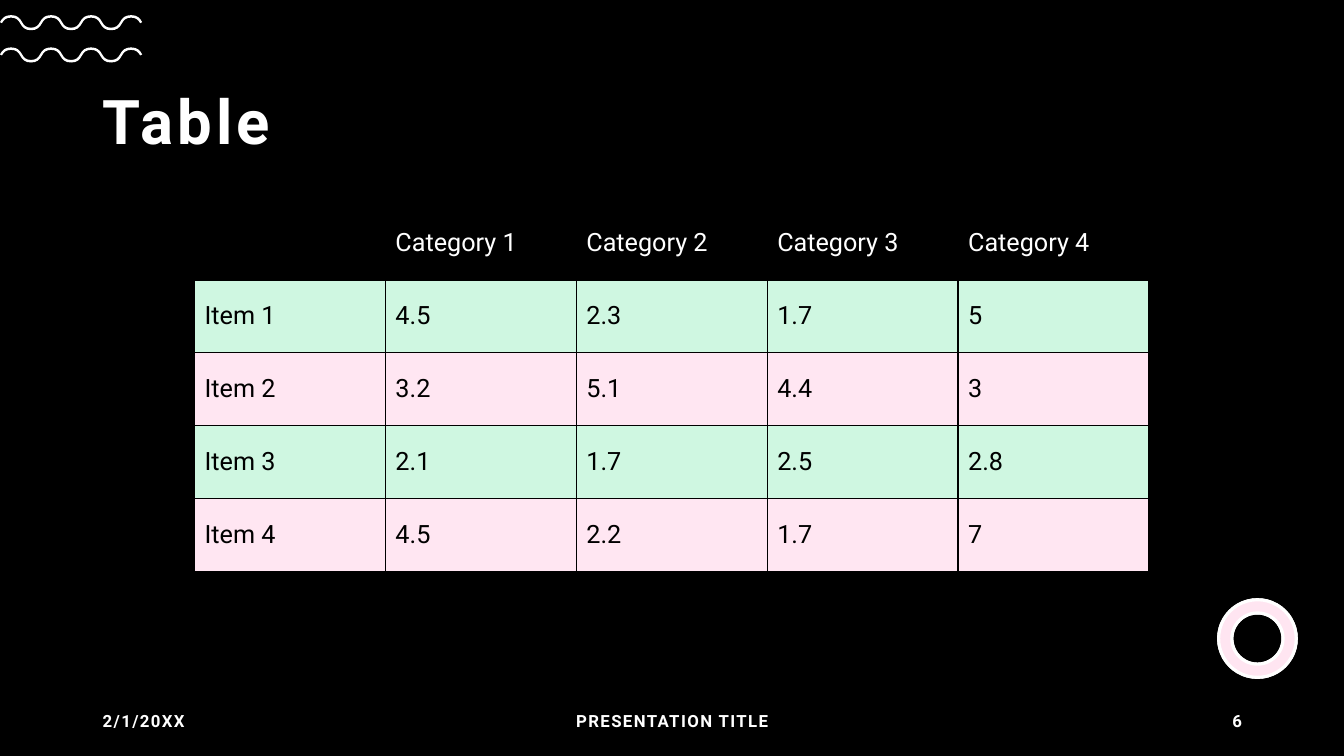
from dataclasses import dataclass

import lxml.etree
import pptx
import pptx.dml.color
import pptx.enum.shapes
import pptx.enum.text
import pptx.oxml
import pptx.oxml.ns
import pptx.util

Inches = pptx.util.Inches
Align = pptx.enum.text.PP_ALIGN
Point = tuple[float, float]


@dataclass(frozen=True)
class Theme:
    font: str = "Roboto"
    black: str = "000000"
    white: str = "FFFFFF"
    mint: str = "CFF7E1"
    blush: str = "FFE6F2"
    pink: str = "FF80BD"
    title_size: int = 44
    table_size: int = 18
    footer_size: int = 12


@dataclass(frozen=True)
class FooterItem:
    text: str
    left: float
    width: float
    alignment: Align


@dataclass(frozen=True)
class RingLayer:
    color: str
    opacity: int


@dataclass(frozen=True)
class WaveEdge:
    reach: int
    crest_y: int
    middle_y: int
    trough_y: int


THEME = Theme()
ROWS = [
    ["", "Category 1", "Category 2", "Category 3", "Category 4"],
    ["Item 1", "4.5", "2.3", "1.7", "5"],
    ["Item 2", "3.2", "5.1", "4.4", "3"],
    ["Item 3", "2.1", "1.7", "2.5", "2.8"],
    ["Item 4", "4.5", "2.2", "1.7", "7"],
]
FOOTER = [
    FooterItem("2/1/20XX", 0.92, 3, Align.LEFT),
    FooterItem("PRESENTATION TITLE", 4.42, 4.5, Align.CENTER),
    FooterItem("6", 9.42, 3, Align.RIGHT),
]
RING_LAYERS = [RingLayer(THEME.white, 100), RingLayer(THEME.pink, 20)]
WAVE_TOPS = [0.47, 0.15]
UPPER_EDGE = WaveEdge(reach=110, crest_y=0, middle_y=70, trough_y=125)
LOWER_EDGE = WaveEdge(reach=90, crest_y=25, middle_y=80, trough_y=150)


def rgb(color: str) -> pptx.dml.color.RGBColor:
    return pptx.dml.color.RGBColor.from_string(color)


def paint(fill, color: str) -> None:
    fill.solid()
    fill.fore_color.rgb = rgb(color)


def format_text(text_frame, size: int, color: str, bold: bool = False,
                spacing: int = 0, alignment: Align = Align.LEFT) -> None:
    text_frame.vertical_anchor = pptx.enum.text.MSO_ANCHOR.MIDDLE
    paragraph = text_frame.paragraphs[0]
    paragraph.alignment = alignment
    for run in paragraph.runs:
        run.font.name = THEME.font
        run.font.size = pptx.util.Pt(size)
        run.font.bold = bold
        run.font.color.rgb = rgb(color)
        if spacing:
            run.font._element.set("spc", str(spacing * 100))


def edge_points(edge: WaveEdge) -> list[Point]:
    period, crests = 397, 4
    points: list[Point] = []
    for index in range(crests):
        crest = 110 + index * period
        points += [(crest - edge.reach, edge.middle_y), (crest, edge.crest_y),
                   (crest + edge.reach, edge.middle_y),
                   (crest + period / 2, edge.trough_y)]
    return points[:-1]


def quarter_curve(middle: Point, extreme: Point) -> list[Point]:
    across, down = extreme[0] - middle[0], extreme[1] - middle[1]
    return [(middle[0] + 0.2 * across, middle[1] + 0.6 * down),
            (extreme[0] - 0.55 * across, extreme[1])]


def add_wave(slide, top: float) -> None:
    upper, lower = edge_points(UPPER_EDGE), edge_points(LOWER_EDGE)[::-1]
    outline = upper + lower
    builder = slide.shapes.build_freeform(*outline[0], scale=Inches(1) / 1000)
    builder.add_line_segments(outline[1:], close=True)
    wave = builder.convert_to_shape(0, Inches(top))
    lines = list(wave._element.iter(pptx.oxml.ns.qn("a:lnTo")))
    for index, line in enumerate(lines):
        if index == len(upper) - 1:
            continue
        start, end = outline[index:index + 2]
        if UPPER_EDGE.middle_y == start[1] or LOWER_EDGE.middle_y == start[1]:
            controls = quarter_curve(start, end)
        else:
            controls = quarter_curve(end, start)[::-1]
        line.tag = pptx.oxml.ns.qn("a:cubicBezTo")
        for position, (x, y) in enumerate(controls):
            control = lxml.etree.Element(pptx.oxml.ns.qn("a:pt"))
            control.set("x", str(round(x)))
            control.set("y", str(round(y)))
            line.insert(position, control)
    wave.shadow.inherit = False
    paint(wave.fill, THEME.white)
    wave.line.fill.background()


def add_ring_layer(slide, layer: RingLayer) -> None:
    ring = slide.shapes.add_shape(
        pptx.enum.shapes.MSO_SHAPE.DONUT,
        Inches(12.09), Inches(5.95), Inches(0.77), Inches(0.77))
    ring.adjustments[0] = 0.17
    ring.shadow.inherit = False
    paint(ring.fill, layer.color)
    ring.line.color.rgb = rgb(THEME.white)
    ring.line.width = pptx.util.Pt(2.25)
    if layer.opacity < 100:
        color = ring._element.spPr.find(
            "a:solidFill/a:srgbClr", {"a": pptx.oxml.ns.nsuri("a")})
        alpha = lxml.etree.SubElement(color, pptx.oxml.ns.qn("a:alpha"))
        alpha.set("val", str(layer.opacity * 1000))


def add_title(slide, text: str) -> None:
    title = slide.shapes.title
    title.left, title.top = Inches(0.92), Inches(0.62)
    title.width, title.height = Inches(11.5), Inches(1.23)
    title.text_frame.text = text
    title.text_frame.auto_size = pptx.enum.text.MSO_AUTO_SIZE.NONE
    title.text_frame.paragraphs[0].line_spacing = 0.9
    format_text(title.text_frame, THEME.title_size, THEME.white, bold=True, spacing=3)


def add_borders(cell, bottom: int) -> None:
    properties = cell._tc.get_or_add_tcPr()
    for side, width in {"L": 1, "R": 1, "T": 1, "B": bottom}.items():
        properties.append(pptx.oxml.parse_xml(
            f'<a:ln{side} xmlns:a="{pptx.oxml.ns.nsuri("a")}" w="{pptx.util.Pt(width)}">'
            f'<a:solidFill><a:srgbClr val="{THEME.black}"/></a:solidFill></a:ln{side}>'))


def add_data_table(slide, rows: list[list[str]]) -> None:
    table = slide.shapes.add_table(
        len(rows), len(rows[0]),
        Inches(1.93), Inches(2.05), Inches(9.47), Inches(3.62)).table
    table.horz_banding = False
    fills = [THEME.black] + [THEME.mint, THEME.blush] * 2
    for row_index, (values, fill) in enumerate(zip(rows, fills)):
        is_header = row_index == 0
        for column_index, value in enumerate(values):
            cell = table.cell(row_index, column_index)
            add_borders(cell, 3 if is_header else 1)
            paint(cell.fill, fill)
            cell.text_frame.text = value
            cell.vertical_anchor = pptx.enum.text.MSO_ANCHOR.MIDDLE
            format_text(cell.text_frame, THEME.table_size,
                        THEME.white if is_header else THEME.black)


def add_footer_item(slide, item: FooterItem) -> None:
    box = slide.shapes.add_textbox(
        Inches(item.left), Inches(6.95), Inches(item.width), Inches(0.4))
    box.text_frame.word_wrap = True
    box.text_frame.text = item.text
    format_text(box.text_frame, THEME.footer_size, THEME.white,
                bold=True, spacing=1, alignment=item.alignment)


def main() -> None:
    presentation = pptx.Presentation()
    presentation.slide_width = Inches(40 / 3)
    presentation.slide_height = Inches(7.5)
    slide = presentation.slides.add_slide(presentation.slide_layouts[5])
    paint(slide.background.fill, THEME.black)
    for top in WAVE_TOPS:
        add_wave(slide, top)
    for layer in RING_LAYERS:
        add_ring_layer(slide, layer)
    add_title(slide, "Table")
    add_data_table(slide, ROWS)
    for item in FOOTER:
        add_footer_item(slide, item)
    presentation.save("out.pptx")


if __name__ == "__main__":
    main()
